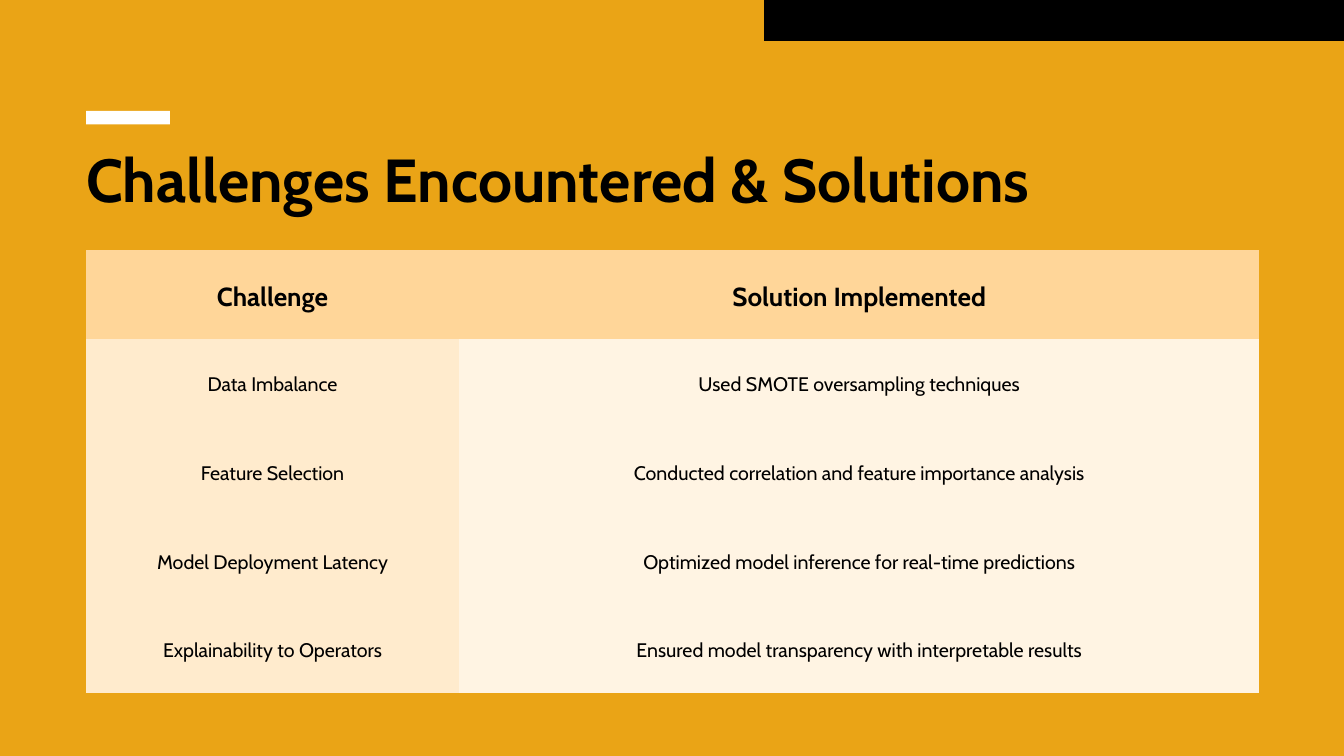
from dataclasses import dataclass

from pptx import Presentation
from pptx.dml.color import RGBColor
from pptx.enum.shapes import MSO_SHAPE
from pptx.enum.text import MSO_ANCHOR, MSO_AUTO_SIZE, PP_ALIGN
from pptx.oxml.ns import qn
from pptx.util import Inches, Pt

RECT = MSO_SHAPE.RECTANGLE
TOP, MIDDLE = MSO_ANCHOR.TOP, MSO_ANCHOR.MIDDLE
LEFT, CENTER = PP_ALIGN.LEFT, PP_ALIGN.CENTER
NO_AUTOFIT = MSO_AUTO_SIZE.NONE
FONT = "Cabin"
MARGINS = ("margin_left", "margin_top", "margin_right", "margin_bottom")


@dataclass
class Bar:
    left: float
    top: float
    width: float
    height: float
    color: str


@dataclass
class TextStyle:
    size: float
    leading: float
    bold: bool
    align: PP_ALIGN


BARS = [
    Bar(1.28, 1.65, 1.25, 0.2, "FFFFFF"),
    Bar(11.37, -0.53, 9.22, 1.14, "000000"),
]
TITLE = TextStyle(65, 75.4, True, LEFT)
HEADER = TextStyle(28, 39.2, True, CENTER)
BODY = TextStyle(21, 29.4, False, CENTER)

COL_WIDTHS = (5.55, 11.91)
ROW_HEIGHT = 1.32
HEADER_FILLS = ("FFD699", "FFD699")
BODY_FILLS = ("FFEBCD", "FFF4E3")
ROWS = [
    ("Challenge", "Solution Implemented"),
    ("Data Imbalance", "Used SMOTE oversampling techniques"),
    ("Feature Selection", "Conducted correlation and feature importance analysis"),
    ("Model Deployment Latency", "Optimized model inference for real-time predictions"),
    ("Explainability to Operators", "Ensured model transparency with interpretable results"),
]


def set_color(fmt, color: str) -> None:
    fmt.rgb = RGBColor.from_string(color)


def set_fill(fill, color: str) -> None:
    fill.solid()
    set_color(fill.fore_color, color)


def set_attrs(obj, values: dict) -> None:
    for name, value in values.items():
        setattr(obj, name, value)


def write_text(tf, text: str, style: TextStyle) -> None:
    p = tf.paragraphs[0]
    set_attrs(p, {
        "alignment": style.align,
        "line_spacing": Pt(style.leading),
        "space_before": Pt(0),
    })
    r = p.add_run()
    r.text = text
    set_attrs(r.font, {"name": FONT, "size": Pt(style.size), "bold": style.bold})
    set_color(r.font.color, "000000")


def add_bar(slide, bar: Bar) -> None:
    sp = slide.shapes.add_shape(
        RECT, Inches(bar.left), Inches(bar.top), Inches(bar.width), Inches(bar.height)
    )
    sp.shadow.inherit = False
    set_fill(sp.fill, bar.color)
    sp.line.fill.background()


def clear_borders(cell) -> None:
    tc_pr = cell._tc.get_or_add_tcPr()
    for side in ("a:lnL", "a:lnR", "a:lnT", "a:lnB"):
        ln = tc_pr.makeelement(qn(side), {"w": "0"})
        ln.append(ln.makeelement(qn("a:noFill"), {}))
        tc_pr.append(ln)


def format_cell(cell, text: str, color: str, style: TextStyle) -> None:
    clear_borders(cell)
    set_fill(cell.fill, color)
    set_attrs(cell, dict.fromkeys(MARGINS, Inches(0.21)))
    cell.vertical_anchor = MIDDLE
    write_text(cell.text_frame, text, style)


def add_challenge_table(slide) -> None:
    table = slide.shapes.add_table(
        len(ROWS), len(COL_WIDTHS), Inches(1.28), Inches(3.72),
        Inches(sum(COL_WIDTHS)), Inches(ROW_HEIGHT * len(ROWS)),
    ).table
    table.horz_banding = False
    for col, width in zip(table.columns, COL_WIDTHS):
        col.width = Inches(width)
    for i, texts in enumerate(ROWS):
        table.rows[i].height = Inches(ROW_HEIGHT)
        fills, style = (BODY_FILLS, BODY) if i else (HEADER_FILLS, HEADER)
        for j, (text, color) in enumerate(zip(texts, fills)):
            format_cell(table.cell(i, j), text, color, style)


def add_title(slide, text: str) -> None:
    sp = slide.shapes.title
    set_attrs(sp, {
        "left": Inches(1.28), "top": Inches(2.15),
        "width": Inches(17.21), "height": Inches(1.05),
    })
    tf = sp.text_frame
    set_attrs(tf, dict.fromkeys(MARGINS, 0))
    set_attrs(tf, {"word_wrap": True, "auto_size": NO_AUTOFIT, "vertical_anchor": TOP})
    write_text(tf, text, TITLE)


def main() -> None:
    prs = Presentation()
    prs.slide_width, prs.slide_height = Inches(20), Inches(11.25)
    slide = prs.slides.add_slide(prs.slide_layouts[5])
    set_fill(slide.background.fill, "EAA416")
    for bar in BARS:
        add_bar(slide, bar)
    add_challenge_table(slide)
    add_title(slide, "Challenges Encountered & Solutions")
    prs.save("out.pptx")


if __name__ == "__main__":
    main()
